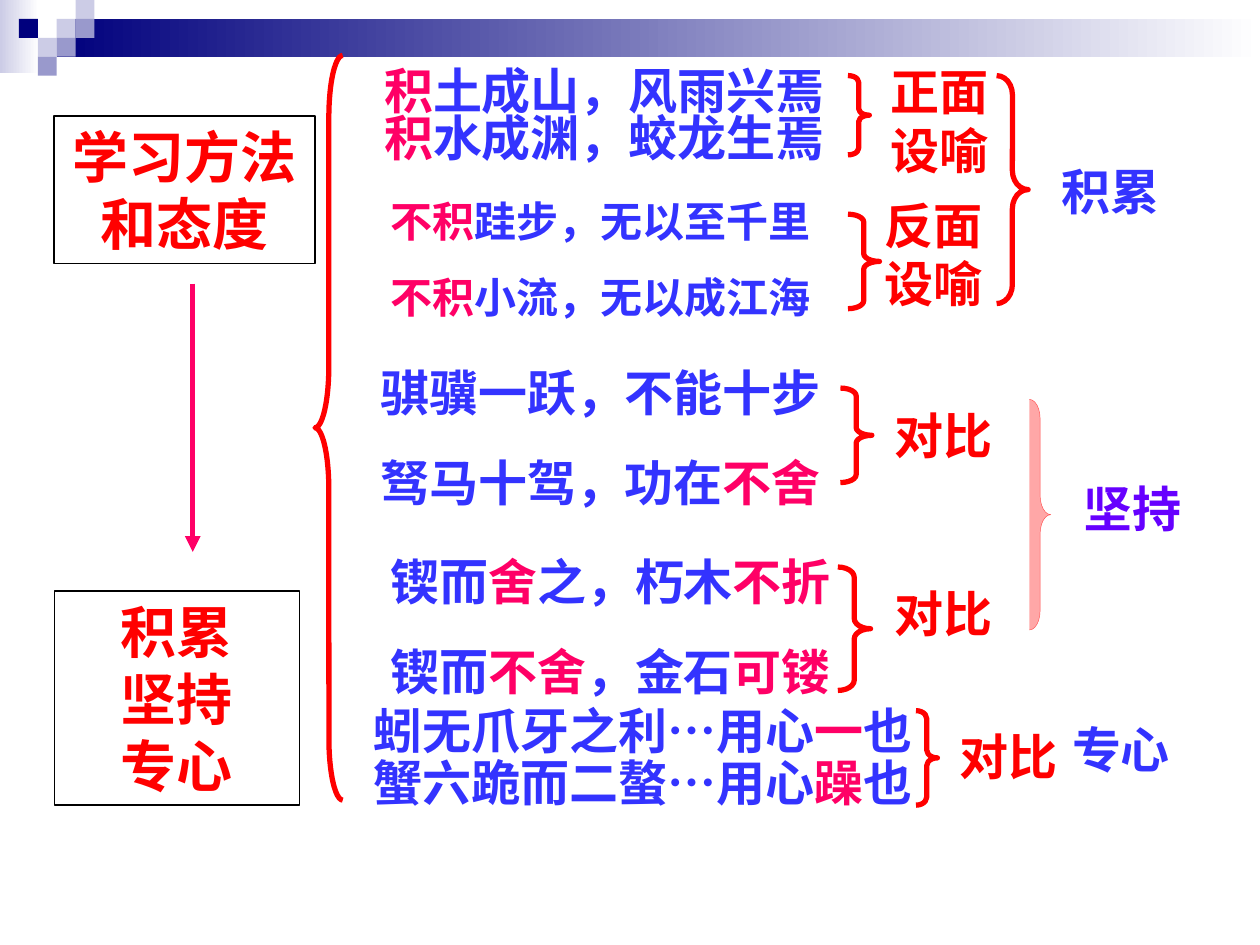
from lxml import etree
from pptx import Presentation
from pptx.dml.color import RGBColor
from pptx.enum.shapes import MSO_CONNECTOR, MSO_SHAPE
from pptx.enum.text import MSO_ANCHOR, PP_ALIGN
from pptx.oxml.ns import qn
from pptx.util import Inches, Pt

RECTANGLE = MSO_SHAPE.RECTANGLE
LEFT_BRACE = MSO_SHAPE.LEFT_BRACE
RIGHT_BRACE = MSO_SHAPE.RIGHT_BRACE
STRAIGHT = MSO_CONNECTOR.STRAIGHT
TOP = MSO_ANCHOR.TOP
LEFT = PP_ALIGN.LEFT
CENTER = PP_ALIGN.CENTER

COLUMNS, ROWS = 100, 75
CELL = Inches(0.1)
SQUARE = 1.5
SERIF, SANS = "Times New Roman", "Noto Sans CJK SC"
COLORS = {
    "navy": "00007D", "mist": "CCCCE6", "lilac": "9999CC", "white": "FFFFFF",
    "black": "000000", "red": "FF0000", "pink": "FF0066", "blue": "3333FF",
    "violet": "6600FF", "coral": "FF5050",
}

BANDS = [((0, 0, 3.1, 5.8), "mist"), ((4.5, 1.5, 95.5, 3), "navy")]
SQUARES = [
    (3, 1, "mist"), (4, 0, "mist"), (4, 1, "lilac"), (2, 2, "mist"),
    (1, 1, "navy"), (3, 2, "lilac"), (2, 3, "lilac"),
]
FRAMES = [
    ((4.3, 9.2, 20.7, 11.7), ["学习方法和态度"]),
    ((4.3, 46.9, 19.5, 17), ["积累", "坚持", "专心"]),
]
QUOTES = [
    ((29.5, 5.2, 39.2, 8.5), ["*积*土成山，风雨兴焉", "*积*水成渊，蛟龙生焉"],
     {"line_spacing": 0.8}),
    ((30, 15, 36.5, 11.1), ["*不积*跬步，无以至千里", "*不积*小流，无以成江海"],
     {"size": 24, "gap": 15}),
    ((29.2, 28.3, 37.5, 12.8), ["骐骥一跃，不能十步", "驽马十驾，功在*不舍*"],
     {"gap": 17.5}),
    ((30, 43.3, 37.5, 12.8), ["锲而*舍*之，朽木*不折*", "锲而*不舍*，金石*可镂*"],
     {"gap": 17.5}),
    ((28.7, 55.6, 46.7, 9.4), ["蚓无爪牙之利…用心*一*也", "蟹六跪而二螯…用心*躁*也"],
     {"line_spacing": 0.9}),
]
LABELS = [
    ((69.7, 4.4, 10.1, 10.4), "正面设喻", "red"),
    ((69.2, 15, 10.8, 10.4), "反面设喻", "red"),
    ((83.3, 12.3, 16.7, 5.7), "积累", "blue"),
    ((70, 31.7, 13.3, 5.7), "对比", "red"),
    ((70, 45.8, 12.5, 5.7), "对比", "red"),
    ((75.2, 57.2, 11.2, 5.7), "对比", "red"),
    ((85, 37.5, 15, 5.7), "坚持", "violet"),
    ((84.1, 56.6, 10.2, 5.7), "专心", "blue"),
]
RED_BRACES = [
    (LEFT_BRACE, (25, 4.4, 2.2, 59.1)),
    (RIGHT_BRACE, (67.3, 6, 1.7, 6.3)),
    (RIGHT_BRACE, (67.3, 17, 2.5, 7.5)),
    (RIGHT_BRACE, (79.1, 6, 2.5, 18.1)),
    (RIGHT_BRACE, (66.7, 30.8, 2.5, 7.5)),
    (RIGHT_BRACE, (66.5, 45, 2.6, 9.8)),
    (RIGHT_BRACE, (72.7, 56.4, 1.7, 7.5)),
]
CORAL_BRACE = (81.7, 31.7, 1.7, 18.3)
ARROW = (15.3, 22.5, 15.3, 43.8)


def color(name):
    return RGBColor.from_string(COLORS[name])


def cells(area):
    return [round(value * CELL) for value in area]


def add_shape(page, kind, area, fill=None, line=None, width=0.75):
    shape = page.shapes.add_shape(kind, *cells(area))
    shape.shadow.inherit = False
    if fill:
        shape.fill.solid()
        shape.fill.fore_color.rgb = color(fill)
    else:
        shape.fill.background()
    if line:
        shape.line.color.rgb = color(line)
        shape.line.width = Pt(width)
    else:
        shape.line.fill.background()
    return shape


def add_band(page, area, start):
    band = add_shape(page, RECTANGLE, area, fill=start)
    band.fill.gradient()
    band.fill.gradient_angle = 0
    for stop, name, position in zip(band.fill.gradient_stops, (start, "white"), (0, 1)):
        stop.color.rgb = color(name)
        stop.position = position


def add_brace(page, kind, area, **style):
    brace = add_shape(page, kind, area, **style)
    brace.adjustments[0] = area[3] / 12 / area[2]
    return brace


def write(box, lines, size=28, ink="blue", accent="pink", font=SERIF,
          align=LEFT, gap=0, line_spacing=None):
    frame = box.text_frame
    frame.word_wrap = True
    frame.vertical_anchor = TOP
    for index, line in enumerate(lines):
        para = frame.add_paragraph() if index else frame.paragraphs[0]
        para.alignment = align
        if line_spacing:
            para.line_spacing = line_spacing
        if index and gap:
            para.space_before = Pt(gap)
        for part, words in enumerate(line.split("*")):
            if not words:
                continue
            span = para.add_run()
            span.text = words
            span.font.size = Pt(size)
            span.font.bold = True
            span.font.name = font
            span.font.color.rgb = color(accent if part % 2 else ink)
            east = etree.SubElement(span.font._element, qn("a:ea"))
            east.set("typeface", SANS)


def add_text(page, area, lines, **style):
    write(page.shapes.add_textbox(*cells(area)), lines, **style)


def add_arrow(page, ends):
    arrow = page.shapes.add_connector(STRAIGHT, *cells(ends))
    arrow.line.color.rgb = color("pink")
    arrow.line.width = Pt(3)
    etree.SubElement(arrow.line._get_or_add_ln(), qn("a:tailEnd")).set("type", "triangle")
    etree.SubElement(arrow._element.spPr, qn("a:effectLst"))


def main():
    deck = Presentation()
    deck.slide_width, deck.slide_height = COLUMNS * CELL, ROWS * CELL
    page = deck.slides.add_slide(deck.slide_layouts[6])

    for area, start in BANDS:
        add_band(page, area, start)
    for column, row, fill in SQUARES:
        add_shape(page, RECTANGLE, (column * SQUARE, row * SQUARE, SQUARE, SQUARE), fill=fill)

    for area, lines in FRAMES:
        frame = add_shape(page, RECTANGLE, area, line="black")
        write(frame, lines, size=32, ink="red", font=SANS, align=CENTER)
    add_arrow(page, ARROW)

    for area, lines, style in QUOTES:
        add_text(page, area, lines, **style)
    for area, words, ink in LABELS:
        add_text(page, area, [words], ink=ink)

    for kind, area in RED_BRACES:
        add_brace(page, kind, area, line="red", width=3)
    coral = add_brace(page, RIGHT_BRACE, CORAL_BRACE, fill="coral", line="coral", width=0.25)
    tint = coral._element.spPr.find(qn("a:solidFill")).find(qn("a:srgbClr"))
    etree.SubElement(tint, qn("a:alpha")).set("val", "50000")

    deck.save("out.pptx")


if __name__ == "__main__":
    main()
